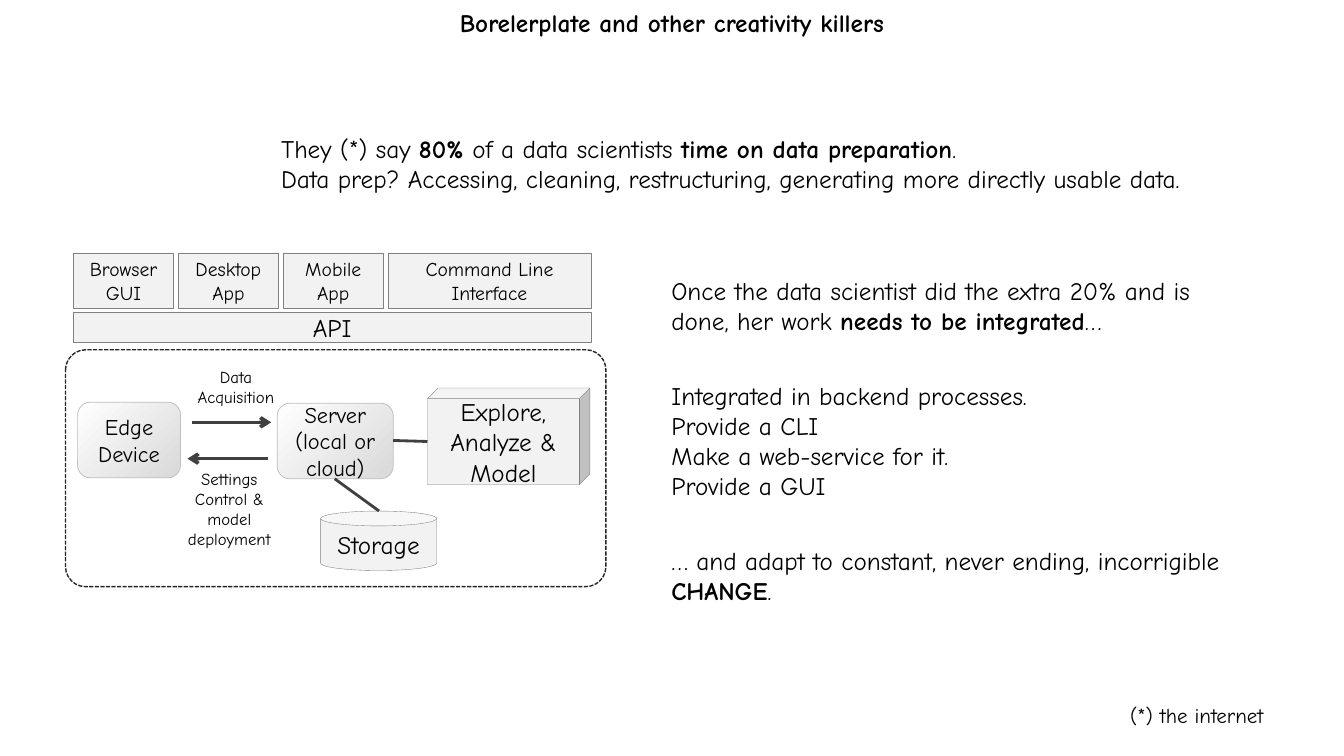
from dataclasses import dataclass
from lxml import etree
from pptx import Presentation
from pptx.dml.color import RGBColor as RGB
from pptx.enum.dml import MSO_LINE as Dash
from pptx.enum.shapes import MSO_CONNECTOR as Link, MSO_SHAPE as Kind
from pptx.enum.text import MSO_ANCHOR as Anchor, PP_ALIGN as Align
from pptx.oxml.ns import qn
from pptx.util import Inches, Pt


@dataclass(frozen=True)
class Theme:
    font: str = "Comic Neue"
    ink: RGB = RGB(0, 0, 0)
    pale: RGB = RGB(0xF2, 0xF2, 0xF2)
    edge: RGB = RGB(0x80, 0x80, 0x80)
    shade: RGB = RGB(0xD9, 0xD9, 0xD9)
    white: RGB = RGB(0xFF, 0xFF, 0xFF)
    rim: RGB = RGB(0xBF, 0xBF, 0xBF)
    wire: RGB = RGB(0x40, 0x40, 0x40)
    frame: RGB = RGB(0x26, 0x26, 0x26)
    body: int = 18
    node: int = 16
    note: int = 15
    app: int = 14
    label: int = 12


THEME = Theme()


def place(shape, x, y, w, h):
    shape.left, shape.top = Inches(x), Inches(y)
    shape.width, shape.height = Inches(w), Inches(h)


def write(shape, paras, size, align=Align.LEFT, anchor=Anchor.TOP):
    """Fill a shape with paragraphs, each a list of (text, bold) runs."""
    frame = shape.text_frame
    frame.word_wrap = True
    frame.vertical_anchor = anchor
    for i, runs in enumerate(paras):
        para = frame.paragraphs[0] if i == 0 else frame.add_paragraph()
        para.alignment = align
        para.space_before = Pt(0)
        for text, bold in runs:
            run = para.add_run()
            run.text = text
            font = run.font
            font.name, font.size, font.bold = THEME.font, Pt(size), bold
            font.color.rgb = THEME.ink


def plain(*lines):
    return [[(line, False)] for line in lines]


def add_text(shapes, box, paras, size=THEME.body, align=Align.LEFT):
    text = shapes.add_textbox(*map(Inches, box))
    write(text, paras, size, align)


def add_node(shapes, kind, box, lines, size=THEME.body):
    node = shapes.add_shape(kind, *map(Inches, box))
    node.shadow.inherit = False
    node.fill.solid()
    node.fill.fore_color.rgb = THEME.pale
    node.line.color.rgb = THEME.edge
    node.line.width = Pt(0.25)
    write(node, plain(*lines), size, Align.CENTER, Anchor.MIDDLE)
    return node


def add_glow(shapes, box, text):
    node = add_node(shapes, Kind.ROUNDED_RECTANGLE, box, [text], THEME.node)
    node.fill.gradient()
    node.fill.gradient_angle = 135
    for stop, color in zip(node.fill.gradient_stops, (THEME.shade, THEME.white)):
        stop.color.rgb = color
    node.line.color.rgb = THEME.rim
    node.line.width = Pt(0.5)


def add_wire(shapes, start, end, width=2, arrow=False):
    wire = shapes.add_connector(Link.STRAIGHT, *map(Inches, start + end))
    wire.line.color.rgb = THEME.wire
    wire.line.width = Pt(width)
    props = wire.element.spPr
    if arrow:
        etree.SubElement(props.find(qn("a:ln")), qn("a:tailEnd"), type="arrow")
    etree.SubElement(props, qn("a:effectLst"))


def add_apps(shapes, x, y, w):
    """Row of client boxes above the API bar."""
    gap, small, high = 0.05, 0.99, 0.55
    names = ["Browser GUI", "Desktop App", "Mobile App", "Command Line Interface"]
    for i, name in enumerate(names):
        left = i * (small + gap)
        wide = w - left if name == names[-1] else small
        add_node(shapes, Kind.RECTANGLE, (x + left, y, wide, high), [name], THEME.app)
    add_node(shapes, Kind.RECTANGLE, (x, y + 0.59, w, 0.3), ["API"])


def add_system(shapes, x, y, w, h):
    """Dashed frame with the devices, server, storage and model."""
    def at(dx, dy, *size):
        return (x + dx, y + dy) + size

    # Nodes
    add_glow(shapes, at(0.12, 0.52, 1.02, 0.75), "Edge Device")
    add_glow(shapes, at(2.1, 0.53, 1.15, 0.75), "Server (local or cloud)")
    add_node(shapes, Kind.CAN, at(2.53, 1.6, 1.15, 0.59), ["Storage"])
    cube = add_node(shapes, Kind.CUBE, at(3.59, 0.38, 1.61, 0.96),
                    ["Explore,", "Analyze & Model"])
    cube.adjustments[0] = 0.11

    # Arrows and their labels
    add_wire(shapes, at(1.25, 0.72), at(2.04, 0.72), 2.5, True)
    add_wire(shapes, at(2.01, 1.08), at(1.21, 1.08), 2.5, True)
    add_text(shapes, at(1.17, 0.12, 1.04, 0.5), plain("Data Acquisition"),
             THEME.label, Align.CENTER)
    add_text(shapes, at(1.06, 1.13, 1.13, 0.91),
             plain("Settings Control & model deployment"),
             THEME.label, Align.CENTER)

    # Plain links
    add_wire(shapes, at(2.67, 1.28), at(3.11, 1.6))
    add_wire(shapes, at(3.25, 0.9), at(3.59, 0.91))

    # Frame
    frame = shapes.add_shape(Kind.ROUNDED_RECTANGLE, *map(Inches, (x, y, w, h)))
    frame.adjustments[0] = 0.085
    frame.shadow.inherit = False
    frame.fill.background()
    frame.line.color.rgb = THEME.frame
    frame.line.width = Pt(1)
    frame.line.dash_style = Dash.SQUARE_DOT
    frame.line.dash_style = Dash.ROUND_DOT
    frame.line.dash_style = Dash.SQUARE_DOT


def add_diagram(slide, x, y):
    shapes = slide.shapes.add_group_shape().shapes
    add_system(shapes, x, y + 0.96, 5.36, 2.35)
    add_apps(shapes, x + 0.08, y, 5.13)


def add_title(slide, x, y, w, h):
    title = slide.shapes.title
    place(title, x, y, w, h)
    write(title, [[("Borelerplate and other creativity killers", True)]],
          THEME.body, Align.CENTER)


def add_claim(slide, x, y, w, h):
    add_text(slide.shapes, (x, y, w, h), [
        [("They (*) say ", False), ("80% ", True), ("of a data scientists ", False),
         ("time on data preparation", True), (".", False)],
        [("Data prep? Accessing, cleaning, restructuring, "
          "generating more directly usable data.", False)]])


def add_tasks(slide, x, y):
    """Right column: lead, list in the body placeholder, closing line."""
    add_text(slide.shapes, (x, y, 5.63, 0.71), [
        [("Once the data scientist did the extra 20% and is done, her work ", False),
         ("needs to be integrated", True), ("…", False)]])
    body = slide.placeholders[1]
    place(body, x, y + 1.04, 4.25, 1.31)
    write(body, plain("Integrated in backend processes.", "Provide a CLI",
                      "Make a web-service for it.", "Provide a GUI"), THEME.body)
    for para in body.text_frame.paragraphs:
        props = para._p.get_or_add_pPr()
        props.set("marL", "0")
        props.set("indent", "0")
        etree.SubElement(props, qn("a:buNone"))
    add_text(slide.shapes, (x, y + 2.68, 6.24, 0.71), [
        [("… and adapt to constant, never ending, incorrigible ", False),
         ("CHANGE", True), (".", False)]])


def main():
    deck = Presentation()
    deck.slide_width, deck.slide_height = Inches(13.33), Inches(7.5)
    slide = deck.slides.add_slide(deck.slide_layouts[1])
    add_title(slide, 0, 0.02, 13.33, 0.4)
    add_claim(slide, 2.69, 1.27, 9.67, 0.71)
    add_diagram(slide, 0.65, 2.51)
    add_tasks(slide, 6.56, 2.68)
    add_text(slide.shapes, (11.11, 6.92, 2.15, 0.35),
             plain("(*) the internet"), THEME.note)
    deck.save("out.pptx")


if __name__ == "__main__":
    main()
